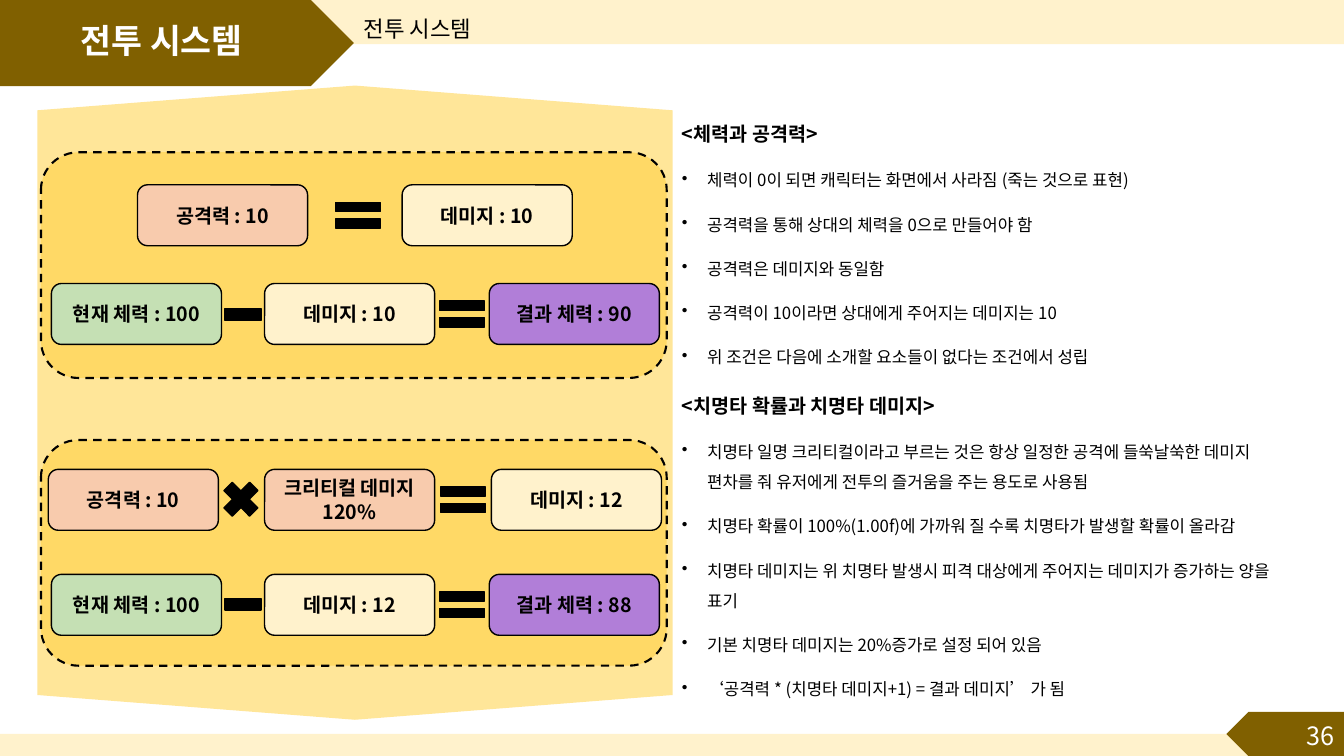
"""Builds the combat system slide with damage formulas and their rules."""
from pptx import Presentation
from pptx.dml.color import RGBColor
from pptx.enum.dml import MSO_LINE
from pptx.enum.shapes import MSO_SHAPE
from pptx.enum.text import MSO_ANCHOR, PP_ALIGN
from pptx.oxml.ns import qn
from pptx.util import Pt
from lxml.etree import SubElement

PX = 9525
FONT = "Noto Sans CJK KR"
COLORS = {
    "black": "000000", "white": "FFFFFF", "brown": "806000", "cream": "FFF2CC",
    "sand": "FFE699", "gold": "FFD966", "peach": "F8CBAD", "green": "C5E0B4",
    "purple": "B17ED8",
}

TITLE = "전투 시스템"
PAGE_NUMBER = "36"
BANDS = [
    (MSO_SHAPE.RECTANGLE, (0, 0, 1280, 42), "cream", 0),
    (MSO_SHAPE.PENTAGON, (0, 0, 337, 82), "brown", 0),
    (MSO_SHAPE.RECTANGLE, (0, 699, 1280, 21), "cream", 0),
    (MSO_SHAPE.PENTAGON, (1168, 678, 112, 42), "brown", 180),
]
RULES = [
    ((640, 95, 605, 265), "<체력과 공격력>", [
        "체력이 0이 되면 캐릭터는 화면에서 사라짐 (죽는 것으로 표현)",
        "공격력을 통해 상대의 체력을 0으로 만들어야 함",
        "공격력은 데미지와 동일함",
        "공격력이 10이라면 상대에게 주어지는 데미지는 10",
        "위 조건은 다음에 소개할 요소들이 없다는 조건에서 성립",
    ]),
    ((640, 360, 605, 310), "<치명타 확률과 치명타 데미지>", [
        "치명타 일명 크리티컬이라고 부르는 것은 항상 일정한 공격에 들쑥날쑥한 데미지 편차를 줘 유저에게 전투의 즐거움을 주는 용도로 사용됨",
        "치명타 확률이 100%(1.00f)에 가까워 질 수록 치명타가 발생할 확률이 올라감",
        "치명타 데미지는 위 치명타 발생시 피격 대상에게 주어지는 데미지가 증가하는 양을 표기",
        "기본 치명타 데미지는 20%증가로 설정 되어 있음",
        "‘공격력 * (치명타 데미지+1) = 결과 데미지’ 가 됨",
    ]),
]

PANEL_TOPS = [145, 419]
FORMULAS = [
    (205, [(212, "peach", "공격력 : 10"), (341, "=", ""), (464, "cream", "데미지 : 10")]),
    (299, [(130, "green", "현재 체력 : 100"), (231, "-", ""), (333, "cream", "데미지 : 10"),
           (440, "=", ""), (547, "purple", "결과 체력 : 90")]),
    (476, [(127, "peach", "공격력 : 10"), (230, "×", ""), (333, "peach", "크리티컬 데미지\n120%"),
           (441, "=", ""), (549, "cream", "데미지 : 12")]),
    (576, [(130, "green", "현재 체력 : 100"), (231, "-", ""), (333, "cream", "데미지 : 12"),
           (440, "=", ""), (547, "purple", "결과 체력 : 88")]),
]
OPERATORS = {
    "=": (MSO_SHAPE.MATH_EQUAL, 58, [0.153, 0.118]),
    "-": (MSO_SHAPE.MATH_MINUS, 47, []),
    "×": (MSO_SHAPE.MATH_MULTIPLY, 47, []),
}
BOX_SIZE = (162, 58)


def color(name):
    return RGBColor.from_string(COLORS[name])


def add_block(page, kind, frame, fill, line_width=0, adjustments=()):
    block = page.shapes.add_shape(kind, *(length * PX for length in frame))
    block.shadow.inherit = False
    block.fill.solid()
    block.fill.fore_color.rgb = color(fill)
    if line_width:
        block.line.color.rgb = color("black")
        block.line.width = Pt(line_width)
    else:
        block.line.fill.background()
    for index, value in enumerate(adjustments):
        block.adjustments[index] = value
    return block


def style(para, size, ink="black", bold=False, align=PP_ALIGN.LEFT):
    para.alignment = align
    font = para.font
    font.size, font.bold, font.name = Pt(size), bold, FONT
    font.color.rgb = color(ink)
    defaults = para._p.pPr.find(qn("a:defRPr"))
    SubElement(defaults, qn("a:ea")).set("typeface", FONT)


def add_text(page, frame, lines, anchor=MSO_ANCHOR.MIDDLE):
    box = page.shapes.add_textbox(*(length * PX for length in frame))
    text = box.text_frame
    text.word_wrap = True
    text.vertical_anchor = anchor
    text.text = "\n".join(lines)
    return text.paragraphs


def add_rules(page, frame, heading, items):
    first, *rest = add_text(page, frame, [heading, *items])
    first.line_spacing = 1.5
    style(first, 14, bold=True)
    for para in rest:
        para.line_spacing = 1.5
        para.space_before = Pt(10)
        properties = para._p.get_or_add_pPr()
        properties.set("marL", str(24 * PX))
        properties.set("indent", str(-24 * PX))
        SubElement(properties, qn("a:buChar")).set("char", "•")
        style(para, 12)


def add_formula_part(page, center_x, center_y, kind, label):
    if kind in OPERATORS:
        shape, size, adjustments = OPERATORS[kind]
        width = height = size
        fill = "black"
    else:
        shape, adjustments, fill = MSO_SHAPE.ROUNDED_RECTANGLE, [], kind
        width, height = BOX_SIZE
    frame = (round(center_x - width / 2), round(center_y - height / 2), width, height)
    part = add_block(page, shape, frame, fill, 1, adjustments)
    if label:
        part.text_frame.text = label
        part.text_frame.vertical_anchor = MSO_ANCHOR.MIDDLE
        for para in part.text_frame.paragraphs:
            style(para, 14, bold=True, align=PP_ALIGN.CENTER)


def main():
    deck = Presentation()
    deck.slide_width, deck.slide_height = 1280 * PX, 720 * PX
    page = deck.slides.add_slide(deck.slide_layouts[6])

    for kind, frame, fill, turn in BANDS:
        add_block(page, kind, frame, fill).rotation = turn
    backdrop = add_block(page, MSO_SHAPE.HEXAGON, (36, 81, 604, 605), "sand", adjustments=[0.039])
    backdrop.rotation = 90

    for rules in RULES:
        add_rules(page, *rules)

    heading = add_text(page, (12, 0, 284, 82), [TITLE])[0]
    heading.line_spacing = 0.9
    style(heading, 24, "white", True, PP_ALIGN.CENTER)
    number = add_text(page, (1104, 681, 176, 38), [PAGE_NUMBER], MSO_ANCHOR.TOP)[0]
    style(number, 18, "white", align=PP_ALIGN.RIGHT)
    subtitle = add_text(page, (337, 0, 908, 41), [TITLE])[0]
    subtitle.line_spacing = 1.5
    style(subtitle, 16)

    for top in PANEL_TOPS:
        panel = add_block(page, MSO_SHAPE.ROUNDED_RECTANGLE, (39, top, 596, 215), "gold", 1.5)
        panel.line.dash_style = MSO_LINE.DASH
    for center_y, parts in FORMULAS:
        for center_x, kind, label in parts:
            add_formula_part(page, center_x, center_y, kind, label)

    deck.save("out.pptx")


if __name__ == "__main__":
    main()
